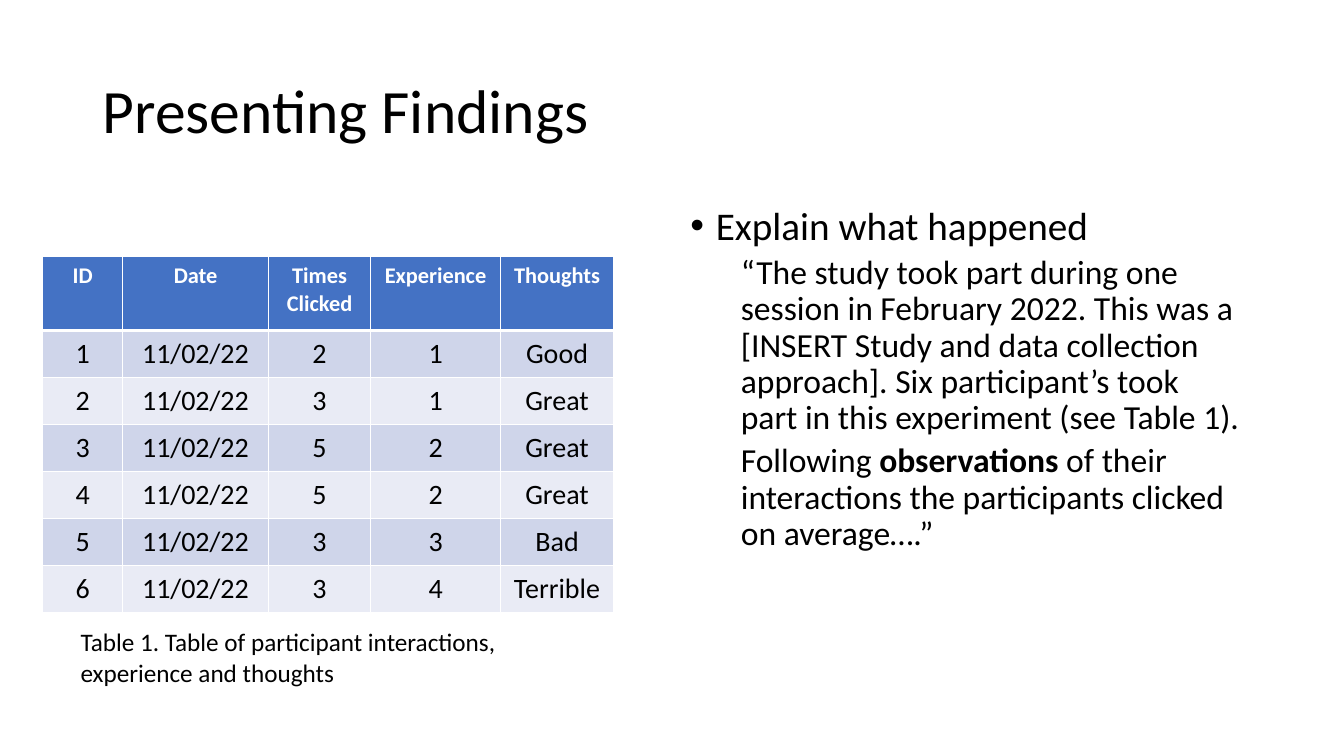
from lxml.etree import SubElement
from pptx import Presentation
from pptx.dml.color import RGBColor
from pptx.enum.text import MSO_ANCHOR, PP_ALIGN
from pptx.oxml.ns import qn
from pptx.util import Cm, Pt

BLACK = RGBColor(0x00, 0x00, 0x00)
WHITE = RGBColor(0xFF, 0xFF, 0xFF)
BLUE = RGBColor(0x44, 0x72, 0xC4)
DARK = RGBColor(0xCF, 0xD5, 0xEA)
LIGHT = RGBColor(0xE9, 0xEB, 0xF5)

HEAD = ["ID", "Date", "Times Clicked", "Experience", "Thoughts"]
DATE = "11/02/22"
FINDINGS = [(2, 1, "Good"), (3, 1, "Great"), (5, 2, "Great"),
            (5, 2, "Great"), (3, 3, "Bad"), (3, 4, "Terrible")]
WIDTHS = [2.01, 3.68, 2.57, 3.28, 2.84]


class Page:
    font = "Calibri"

    def __init__(self, deck):
        self.slide = deck.slides.add_slide(deck.slide_layouts[5])

    def style(self, para, size, color=BLACK, bold=False):
        for run in para.runs:
            font = run.font
            font.name, font.size, font.bold = self.font, Pt(size), bold
            font.color.rgb = color

    def place(self, shape, left, top, width, height):
        shape.left, shape.top = Cm(left), Cm(top)
        shape.width, shape.height = Cm(width), Cm(height)

    def title(self, text, *box):
        shape = self.slide.shapes.title
        self.place(shape, *box)
        frame = shape.text_frame
        frame.text = text
        frame.vertical_anchor = MSO_ANCHOR.MIDDLE
        para = frame.paragraphs[0]
        para.alignment = PP_ALIGN.LEFT
        para.line_spacing = 0.9
        self.style(para, 44)

    def text(self, *box):
        shape = self.slide.shapes.add_textbox(*map(Cm, box))
        shape.text_frame.word_wrap = True
        return shape.text_frame

    def caption(self, text, *box):
        frame = self.text(*box)
        frame.text = text
        self.style(frame.paragraphs[0], 18)

    def indent(self, para, left, hang=0, bullet=None):
        props = para._p.get_or_add_pPr()
        props.set("marL", str(Cm(left)))
        props.set("indent", str(Cm(hang)))
        if bullet:
            SubElement(props, qn("a:buFont"), typeface="Arial")
            SubElement(props, qn("a:buChar"), char=bullet)

    def body(self, point, quotes, *box):
        frame = self.text(*box)
        para = frame.paragraphs[0]
        self.indent(para, 0.64, -0.64, "•")
        para.text = point
        para.line_spacing = 0.9
        self.style(para, 28)
        for parts in quotes:
            para = frame.add_paragraph()
            para.level = 1
            self.indent(para, 1.27)
            para.line_spacing, para.space_before = 0.9, Pt(5)
            for part in parts:
                para.add_run().text = part
            self.style(para, 24)
            # The middle part of a split quote is stressed
            if len(parts) > 1:
                para.runs[1].font.bold = True

    def border(self, cell, row):
        props = cell._tc.get_or_add_tcPr()
        thick = {"T": row == 1, "B": row == 0}
        for side in "LRTB":
            width = Pt(3 if thick.get(side) else 1)
            line = SubElement(props, qn("a:ln" + side), w=str(width))
            fill = SubElement(line, qn("a:solidFill"))
            SubElement(fill, qn("a:srgbClr"), val=str(WHITE))

    def cell(self, cell, value, row, col):
        cell.text = str(value)
        para = cell.text_frame.paragraphs[0]
        para.alignment = PP_ALIGN.CENTER
        # Numbers sit in the middle, other cells at the top
        tight = row > 0 and col in (2, 3)
        side, edge = (0.02, 0.02) if tight else (0.25, 0.16)
        cell.margin_left = cell.margin_right = Cm(side)
        cell.margin_top = cell.margin_bottom = Cm(edge)
        cell.vertical_anchor = MSO_ANCHOR.MIDDLE if tight else MSO_ANCHOR.TOP
        self.border(cell, row)
        cell.fill.solid()
        if row == 0:
            cell.fill.fore_color.rgb = BLUE
            self.style(para, 16, WHITE, True)
        else:
            cell.fill.fore_color.rgb = DARK if row % 2 else LIGHT
            self.style(para, 20)

    def table(self, rows, widths, left, top):
        heights = [1.88] + [1.18] * (len(rows) - 1)
        box = map(Cm, (left, top, sum(widths), sum(heights)))
        table = self.slide.shapes.add_table(len(rows), len(widths), *box).table
        table.horz_banding = False
        for column, width in zip(table.columns, widths):
            column.width = Cm(width)
        for r, values in enumerate(rows):
            table.rows[r].height = Cm(heights[r])
            for c, value in enumerate(values):
                self.cell(table.cell(r, c), value, r, c)


def main():
    deck = Presentation()
    deck.slide_width, deck.slide_height = Cm(33.87), Cm(19.05)
    page = Page(deck)

    # Title
    page.title("Presenting Findings", 2.33, 1.01, 29.21, 3.68)

    # Table of participants with its caption
    rows = [HEAD] + [(n, DATE, *found) for n, found in enumerate(FINDINGS, 1)]
    page.table(rows, WIDTHS, 1.08, 6.45)
    page.caption("Table 1. Table of participant interactions, "
                 "experience and thoughts", 1.78, 15.67, 13.66, 1.8)

    # Explanation
    quotes = [
        ["“The study took part during one session in February 2022. "
         "This was a [INSERT Study and data collection approach]. "
         "Six participant’s took part in this experiment (see Table 1)."],
        ["Following ", "observations ",
         "of their interactions the participants clicked on average….”"],
    ]
    page.body("Explain what happened", quotes, 17.15, 5.07, 14.4, 12.09)

    deck.save("out.pptx")


if __name__ == "__main__":
    main()
